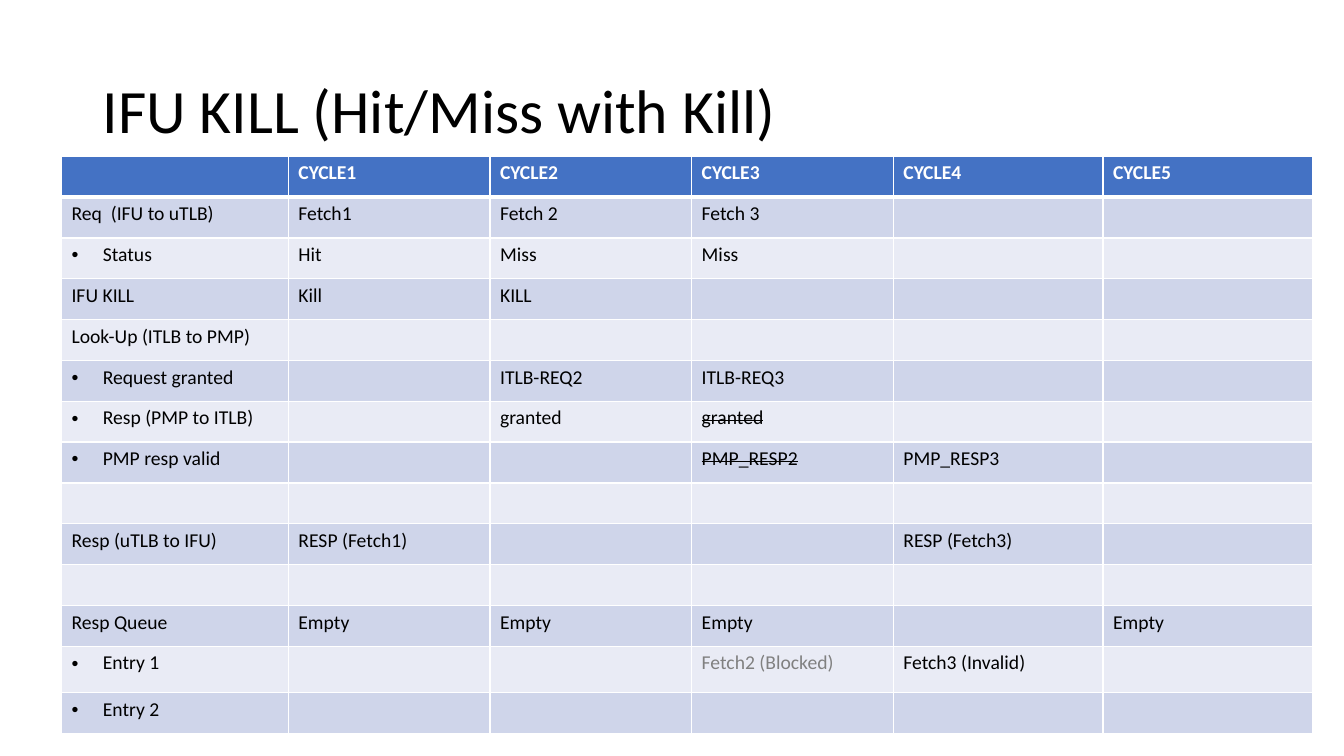
from lxml.etree import SubElement
from pptx import Presentation
from pptx.dml.color import RGBColor
from pptx.enum.text import MSO_ANCHOR
from pptx.oxml import parse_xml
from pptx.oxml.ns import nsdecls, qn
from pptx.util import Inches, Pt

TITLE = "IFU KILL (Hit/Miss with Kill)"
ROWS = [
    ("", "CYCLE1", "CYCLE2", "CYCLE3", "CYCLE4", "CYCLE5"),
    ("Req  (IFU to uTLB)", "Fetch1", "Fetch 2", "Fetch 3", "", ""),
    ("Status", "Hit", "Miss", "Miss", "", ""),
    ("IFU KILL", "Kill", "KILL", "", "", ""),
    ("Look-Up (ITLB to PMP)", "", "", "", "", ""),
    ("Request granted", "", "ITLB-REQ2", "ITLB-REQ3", "", ""),
    ("Resp (PMP to ITLB)", "", "granted", "granted", "", ""),
    ("PMP resp valid", "", "", "PMP_RESP2", "PMP_RESP3", ""),
    ("", "", "", "", "", ""),
    ("Resp (uTLB to IFU)", "RESP (Fetch1)", "", "", "RESP (Fetch3)", ""),
    ("", "", "", "", "", ""),
    ("Resp Queue", "Empty", "Empty", "Empty", "", "Empty"),
    ("Entry 1", "", "", "Fetch2 (Blocked)", "Fetch3 (Invalid)", ""),
    ("Entry 2", "", "", "", "", ""),
]
BULLETED_ROWS = {2, 5, 6, 7, 12, 13}
STRUCK_CELLS = {(6, 3), (7, 3)}
BLOCKED_CELL = (12, 3)
ENTRY_ROW = 12

COL_WIDTHS = (2.25, 2, 2, 2, 2.08, 2.08)
TABLE_HEIGHT = 5.73
ENTRY_HEIGHT = 0.46
ROW_HEIGHT = (TABLE_HEIGHT - ENTRY_HEIGHT) / (len(ROWS) - 1)

FONT = "Calibri"
BLACK = RGBColor(0x00, 0x00, 0x00)
WHITE = RGBColor(0xFF, 0xFF, 0xFF)
GRAY = RGBColor(0x80, 0x80, 0x80)
HEADER = RGBColor(0x44, 0x72, 0xC4)
BANDS = (RGBColor(0xE9, 0xEB, 0xF5), RGBColor(0xCF, 0xD5, 0xEA))


def set_font(p, size, color, bold=False):
    p.font.name = FONT
    p.font.size = Pt(size)
    p.font.bold = bold
    p.font.color.rgb = color


def add_borders(cell, row):
    widths = {"L": 1, "R": 1, "T": 3 if row == 1 else 1, "B": 3 if row == 0 else 1}
    tc_pr = cell._tc.get_or_add_tcPr()
    for i, (side, width) in enumerate(widths.items()):
        tc_pr.insert(i, parse_xml(
            f'<a:ln{side} {nsdecls("a")} w="{Pt(width)}"><a:solidFill>'
            f'<a:srgbClr val="{WHITE}"/></a:solidFill></a:ln{side}>'))


def add_bullet(p):
    p_pr = p._p.get_or_add_pPr()
    p_pr.set("marL", str(Inches(0.31)))
    p_pr.set("indent", str(Inches(-0.31)))
    SubElement(p_pr, qn("a:buFont"), typeface="Arial")
    SubElement(p_pr, qn("a:buChar"), char="•")


def fill_cell(cell, text, row, col):
    cell.fill.solid()
    cell.fill.fore_color.rgb = BANDS[row % 2] if row else HEADER
    add_borders(cell, row)
    p = cell.text_frame.paragraphs[0]
    if col == 0 and row in BULLETED_ROWS:
        add_bullet(p)
    color = WHITE if row == 0 else GRAY if (row, col) == BLOCKED_CELL else BLACK
    set_font(p, 14, color, bold=row == 0)
    if text:
        r = p.add_run()
        r.text = text
        if (row, col) in STRUCK_CELLS:
            r._r.get_or_add_rPr().set("strike", "sngStrike")


prs = Presentation()
prs.slide_width = Inches(13.33)
prs.slide_height = Inches(7.5)
s = prs.slides.add_slide(prs.slide_layouts[6])

tf = s.shapes.add_textbox(Inches(0.92), Inches(0.4), Inches(11.5), Inches(1.45)).text_frame
tf.word_wrap = True
tf.vertical_anchor = MSO_ANCHOR.MIDDLE
p = tf.paragraphs[0]
p.text = TITLE
p.line_spacing = 0.9
set_font(p, 44, BLACK)

table = s.shapes.add_table(
    len(ROWS), len(COL_WIDTHS), Inches(0.61), Inches(1.55),
    Inches(sum(COL_WIDTHS)), Inches(TABLE_HEIGHT)).table
for column, width in zip(table.columns, COL_WIDTHS):
    column.width = Inches(width)
for row, texts in enumerate(ROWS):
    table.rows[row].height = Inches(ENTRY_HEIGHT if row == ENTRY_ROW else ROW_HEIGHT)
    for col, text in enumerate(texts):
        fill_cell(table.cell(row, col), text, row, col)

prs.save("out.pptx")
